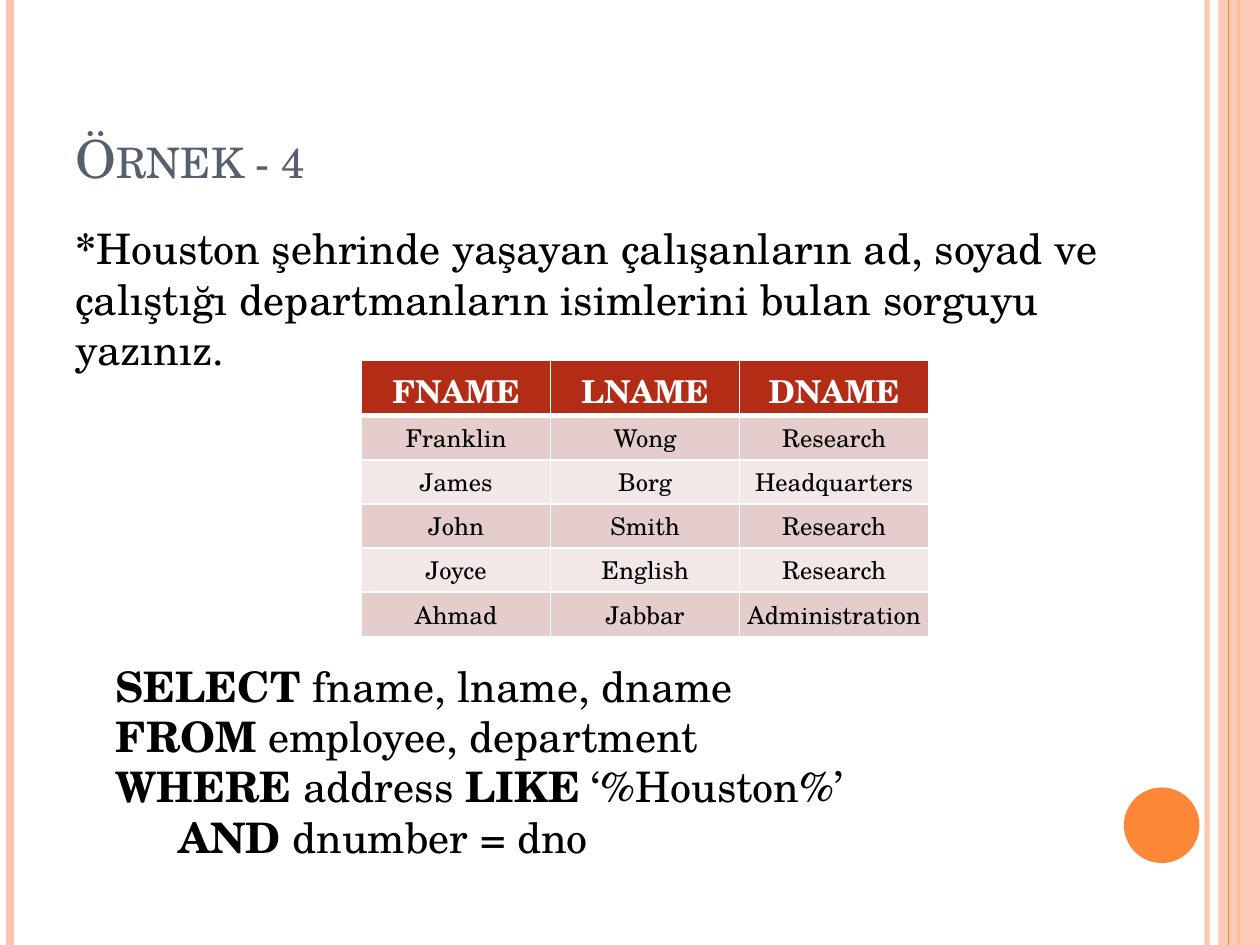
"""Build the slide "Örnek - 4" with a SQL query and its result table."""
from lxml import etree
from pptx import Presentation
from pptx.dml.color import RGBColor
from pptx.enum.shapes import MSO_CONNECTOR, MSO_SHAPE
from pptx.enum.text import MSO_ANCHOR, PP_ALIGN
from pptx.oxml.ns import qn
from pptx.util import Inches, Pt

LINE = MSO_CONNECTOR.STRAIGHT
RECT, OVAL = MSO_SHAPE.RECTANGLE, MSO_SHAPE.OVAL
BOTTOM, MIDDLE = MSO_ANCHOR.BOTTOM, MSO_ANCHOR.MIDDLE
CENTER = PP_ALIGN.CENTER
FONT = "TeX Gyre Schola"
COLORS = {
    "peach": "FEC3AE",
    "orange": "FE8637",
    "slate": "575F6D",
    "black": "000000",
    "white": "FFFFFF",
    "head": "B32C16",
    "odd": "E5CDCC",
    "even": "F2E8E8",
}


def paint(fill, color, alpha=100):
    fill.solid()
    fill.fore_color.rgb = RGBColor.from_string(COLORS[color])
    if alpha < 100:
        tone = fill._xPr.find(qn("a:solidFill"))[0]
        etree.SubElement(tone, qn("a:alpha"), val=str(alpha * 1000))


def write(par, text, size, color="black", bold=False):
    run = par.add_run()
    run.text = text
    style = {"name": FONT, "size": Pt(size), "bold": bold}
    for key, value in style.items():
        setattr(run.font, key, value)
    run.font.color.rgb = RGBColor.from_string(COLORS[color])
    return run


prs = Presentation()
prs.slide_width, prs.slide_height = Inches(10), Inches(7.5)
slide = prs.slides.add_slide(prs.slide_layouts[6])
shapes = slide.shapes

decor = [
    ("line", 9.58, "peach", 3, 93),
    ("line", 0.08, "peach", 4.5, 100),
    ("line", 9.83, "orange", 1.5, 100),
    (RECT, (9.67, 0, 0.33, 7.5), "peach", 0, 87),
    ("line", 9.75, "orange", 0.75, 100),
    (OVAL, (8.92, 6.25, 0.6, 0.6), "orange", 0, 100),
]
for kind, place, color, width, alpha in decor:
    if kind == "line":
        x = Inches(place)
        rule = shapes.add_connector(LINE, x, 0, x, prs.slide_height)
        rule.line.width = Pt(width)
        paint(rule.line.fill, color, alpha)
        etree.SubElement(rule._element.spPr, qn("a:effectLst"))
    else:
        shape = shapes.add_shape(kind, *map(Inches, place))
        shape.shadow.inherit = False
        shape.line.fill.background()
        paint(shape.fill, color, alpha)

title = shapes.add_textbox(*map(Inches, (0.5, 0.3, 8.17, 1.25))).text_frame
title.word_wrap = True
title.vertical_anchor = BOTTOM
run = write(title.paragraphs[0], "Örnek - 4", 30, "slate")
run._r.get_or_add_rPr().set("cap", "small")

query = [
    [("SELECT ", True), ("fname, lname, dname", False)],
    [("FROM ", True), ("employee, department", False)],
    [("WHERE ", True), ("address ", False), ("LIKE", True),
     (" ‘%Houston%’", False)],
    [("\tAND ", True), ("dnumber = dno", False)],
]
task = [[("*", True), (
    "Houston şehrinde yaşayan çalışanların ad, soyad ve çalıştığı "
    "departmanların isimlerini bulan sorguyu yazınız.", False)]]
for place, lines in [
    ((0.82, 5.19, 7.96, 1.72), query),
    ((0.5, 1.72, 8.83, 1.31), task),
]:
    frame = shapes.add_textbox(*map(Inches, place)).text_frame
    frame.word_wrap = True
    for i, line in enumerate(lines):
        par = frame.add_paragraph() if i else frame.paragraphs[0]
        for text, bold in line:
            write(par, text, 24, bold=bold)

rows = [
    ("FNAME", "LNAME", "DNAME"),
    ("Franklin", "Wong", "Research"),
    ("James", "Borg", "Headquarters"),
    ("John", "Smith", "Research"),
    ("Joyce", "English", "Research"),
    ("Ahmad", "Jabbar", "Administration"),
]
place = map(Inches, (2.87, 2.86, 4.49, 2.19))
table = shapes.add_table(len(rows), 3, *place).table
for col in table.columns:
    col.width = Inches(1.5)
for i, row in enumerate(rows):
    table.rows[i].height = Inches(0.35 if i else 0.44)
    for j, text in enumerate(row):
        cell = table.cell(i, j)
        props = cell._tc.get_or_add_tcPr()
        for side in "LRTB":
            thick = (i, side) in [(0, "B"), (1, "T")]
            edge = etree.SubElement(
                props, qn("a:ln" + side), w=str(Pt(3 if thick else 1)))
            fill = etree.SubElement(edge, qn("a:solidFill"))
            etree.SubElement(fill, qn("a:srgbClr"), val=COLORS["white"])
        par = cell.text_frame.paragraphs[0]
        par.alignment = CENTER
        if i:
            paint(cell.fill, "odd" if i % 2 else "even")
            cell.vertical_anchor = MIDDLE
            for side in ("left", "top", "right", "bottom"):
                setattr(cell, "margin_" + side, Inches(0.01))
            write(par, text, 14)
        else:
            paint(cell.fill, "head")
            write(par, text, 18, "white", True)

prs.save("out.pptx")
